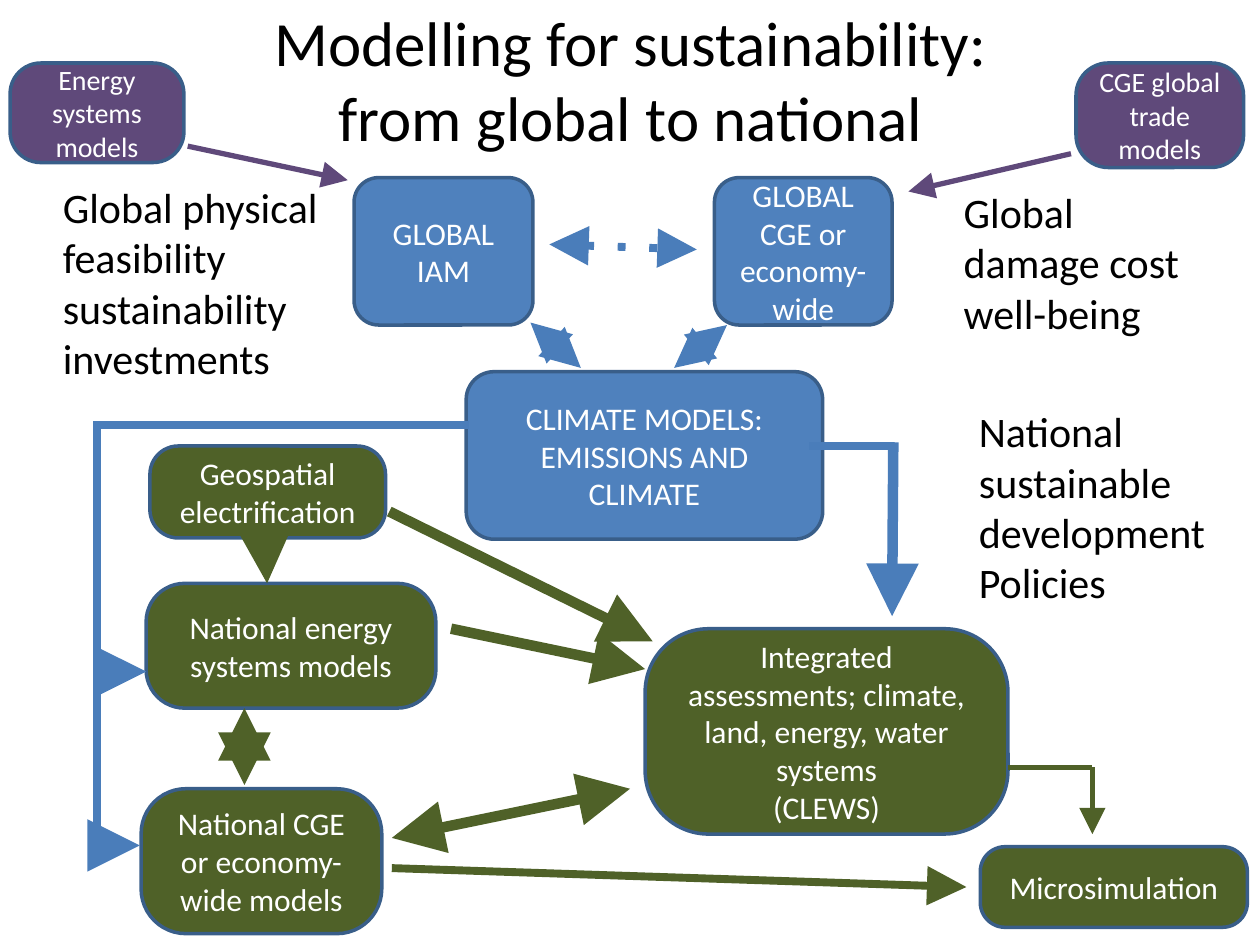
from dataclasses import dataclass
from typing import Any

from lxml.etree import SubElement
from pptx import Presentation
from pptx.dml.color import RGBColor
from pptx.enum.shapes import MSO_CONNECTOR as Connector, MSO_SHAPE as Shape
from pptx.enum.text import MSO_ANCHOR as Anchor, PP_ALIGN as Align
from pptx.oxml.ns import qn
from pptx.util import Inches, Pt

BLACK = RGBColor(0x00, 0x00, 0x00)
WHITE = RGBColor(0xFF, 0xFF, 0xFF)
BLUE = RGBColor(0x4F, 0x81, 0xBD)
BLUE_LINK = RGBColor(0x4A, 0x7D, 0xBA)
OUTLINE = RGBColor(0x39, 0x5E, 0x89)
PURPLE = RGBColor(0x5F, 0x49, 0x7A)
GREEN = RGBColor(0x4F, 0x61, 0x28)

Point = tuple[float, float]
Area = tuple[float, float, float, float]

NO_HEADS = ()
ONE_WAY = ("a:tailEnd",)
TWO_WAY = ("a:headEnd", "a:tailEnd")


@dataclass
class Model:
    text: str
    area: Area
    color: RGBColor
    size: int = 18
    rounding: float = 0.309


@dataclass
class Caption:
    text: str
    area: Area
    size: int = 24
    align: Any = Align.LEFT
    anchor: Any = Anchor.TOP


@dataclass
class Link:
    start: Point
    end: Point
    color: RGBColor
    width: float
    heads: tuple[str, ...] = ONE_WAY
    dash: str = ""


MODELS = [
    # Global level
    Model("CLIMATE MODELS:\nEMISSIONS AND CLIMATE", (3.7, 2.95, 2.83, 1.33), BLUE, rounding=0.167),
    Model("GLOBAL IAM", (2.81, 1.41, 1.42, 1.17), BLUE, rounding=0.167),
    Model("GLOBAL CGE or economy-wide", (5.67, 1.41, 1.41, 1.17), BLUE, rounding=0.167),
    # Sector inputs
    Model("Energy systems models", (0.08, 0.5, 1.38, 0.79), PURPLE, 16),
    Model("CGE global trade models", (8.54, 0.5, 1.33, 0.83), PURPLE, 16),
    # National level
    Model("National energy systems models", (1.16, 4.63, 2.3, 0.99), GREEN),
    Model("National CGE or economy-wide models", (1.12, 6.26, 1.91, 1.15), GREEN),
    Model("Integrated assessments; climate, land, energy, water systems\n(CLEWS)",
          (5.12, 4.99, 2.88, 1.63), GREEN),
    Model("Microsimulation", (7.78, 6.72, 2.12, 0.64), GREEN),
    Model("Geospatial electrification", (1.19, 3.54, 1.87, 0.73), GREEN),
]

CAPTIONS = [
    Caption("Modelling for sustainability: from global to national",
            (1.55, 0.1, 6.91, 1.05), 36, Align.CENTER, Anchor.MIDDLE),
    Caption("Global damage cost\nwell-being", (7.55, 1.43, 1.98, 1.31)),
    Caption("Global physical feasibility\nsustainability investments", (0.4, 1.39, 2.29, 1.72)),
    Caption("National\nsustainable\ndevelopment\nPolicies", (7.67, 3.17, 2.08, 1.72)),
]

LINKS = [
    # Sector inputs to global models
    Link((1.49, 1.16), (2.76, 1.43), PURPLE, 3),
    Link((8.5, 1.22), (7.21, 1.52), PURPLE, 3),
    # Exchange between global models
    Link((4.36, 1.94), (5.53, 1.98), BLUE_LINK, 4.5, TWO_WAY, "dot"),
    Link((4.21, 2.56), (4.61, 2.92), BLUE_LINK, 4.5, TWO_WAY),
    Link((5.77, 2.58), (5.35, 2.92), BLUE_LINK, 4.5, TWO_WAY),
    # Climate models to national models
    Link((3.72, 3.37), (0.74, 3.37), BLUE_LINK, 4.5, NO_HEADS),
    Link((0.77, 3.37), (0.77, 6.71), BLUE_LINK, 4.5, NO_HEADS),
    Link((0.75, 6.71), (1.11, 6.71), BLUE_LINK, 6),
    Link((0.74, 5.33), (1.16, 5.33), BLUE_LINK, 6),
    Link((7.08, 3.54), (6.42, 3.54), BLUE_LINK, 4.5, NO_HEADS),
    Link((7.09, 3.51), (7.08, 4.89), BLUE_LINK, 6),
    # Exchange between national models
    Link((3.58, 4.99), (5.12, 5.31), GREEN, 6),
    Link((5, 6.26), (3.11, 6.65), GREEN, 6, TWO_WAY),
    Link((2.1, 4.22), (2.12, 4.63), GREEN, 6),
    Link((3.09, 4.06), (5.18, 5.09), GREEN, 6),
    Link((1.94, 5.62), (1.94, 6.23), GREEN, 6, TWO_WAY),
    # Inputs to microsimulation
    Link((3.11, 6.89), (7.67, 7.04), GREEN, 4.5),
    Link((8, 6.09), (8.67, 6.09), GREEN, 3, NO_HEADS),
    Link((8.67, 6.09), (8.67, 6.62), GREEN, 3),
]


def apply(target: Any, values: dict[str, Any]) -> None:
    for name, value in values.items():
        setattr(target, name, value)


def write(frame: Any, text: str, size: int, color: RGBColor, align: Any, anchor: Any) -> None:
    apply(frame, {"text": text, "word_wrap": True, "vertical_anchor": anchor})
    for paragraph in frame.paragraphs:
        paragraph.alignment = align
        for run in paragraph.runs:
            apply(run.font, {"name": "Calibri", "size": Pt(size)})
            run.font.color.rgb = color


def draw_model(slide: Any, model: Model) -> None:
    box = slide.shapes.add_shape(Shape.ROUNDED_RECTANGLE, *map(Inches, model.area))
    box.adjustments[0] = model.rounding
    box.shadow.inherit = False
    box.fill.solid()
    box.fill.fore_color.rgb = model.color
    box.line.color.rgb = OUTLINE
    box.line.width = Pt(2)
    write(box.text_frame, model.text, model.size, WHITE, Align.CENTER, Anchor.MIDDLE)


def draw_caption(slide: Any, caption: Caption) -> None:
    box = slide.shapes.add_textbox(*map(Inches, caption.area))
    write(box.text_frame, caption.text, caption.size, BLACK, caption.align, caption.anchor)


def draw_link(slide: Any, link: Link) -> None:
    connector = slide.shapes.add_connector(
        Connector.STRAIGHT, *map(Inches, link.start + link.end))
    connector.line.color.rgb = link.color
    connector.line.width = Pt(link.width)
    properties = connector._element.spPr
    outline = properties.find(qn("a:ln"))
    if link.dash:
        SubElement(outline, qn("a:prstDash"), val=link.dash)
    for head in link.heads:
        SubElement(outline, qn(head), type="triangle", w="lg", len="lg")
    SubElement(properties, qn("a:effectLst"))


def main() -> None:
    deck = Presentation()
    apply(deck, {"slide_width": Inches(10), "slide_height": Inches(7.5)})
    slide = deck.slides.add_slide(deck.slide_layouts[6])
    for draw, parts in ((draw_model, MODELS), (draw_caption, CAPTIONS), (draw_link, LINKS)):
        for part in parts:
            draw(slide, part)
    deck.save("out.pptx")


if __name__ == "__main__":
    main()
